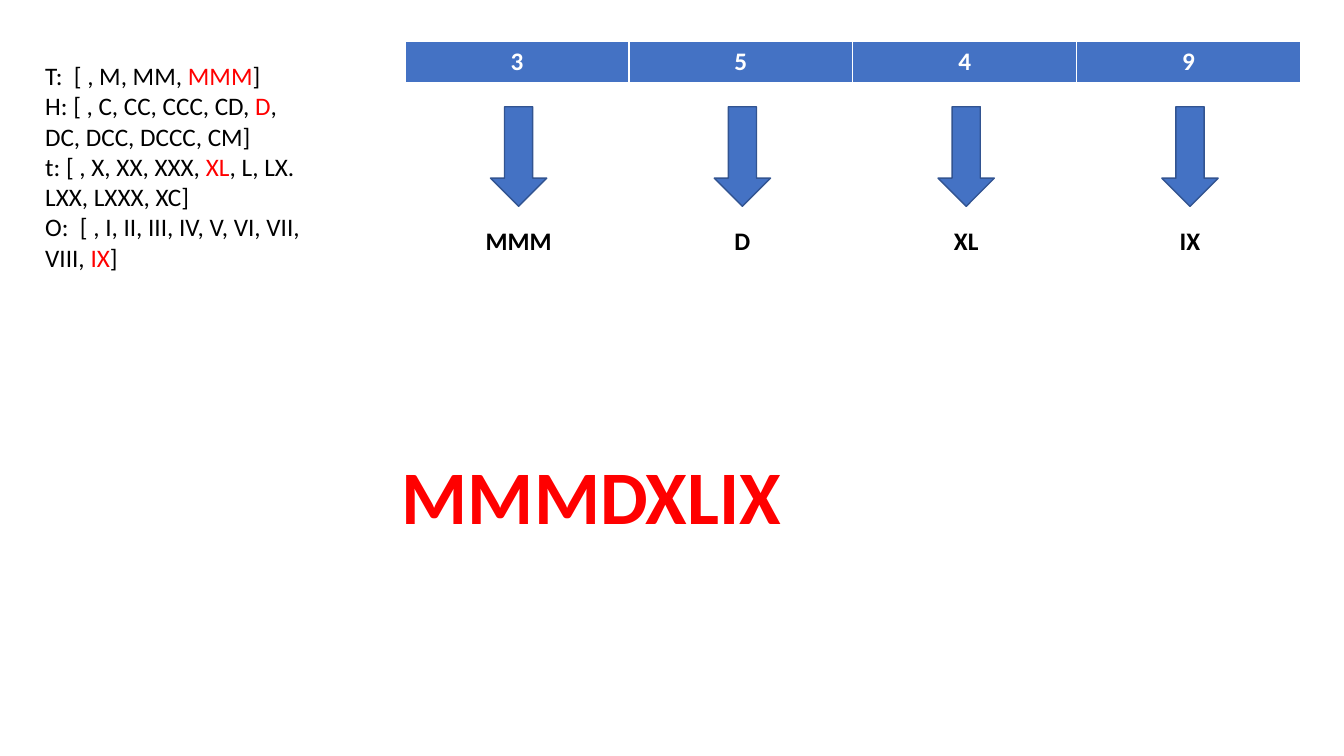
"""Build a slide that turns the digits of 3549 into the Roman numeral MMMDXLIX."""
from pptx import Presentation
from pptx.dml.color import RGBColor
from pptx.enum.shapes import MSO_SHAPE as Preset
from pptx.enum.text import PP_ALIGN as Align
from pptx.util import Cm, Pt

BLUE = RGBColor(0x44, 0x72, 0xC4)
DARK_BLUE = RGBColor(0x32, 0x54, 0x91)
RED = RGBColor(0xFF, 0, 0)
BLACK = RGBColor(0, 0, 0)
WHITE = RGBColor(0xFF, 0xFF, 0xFF)

DIGITS = [("3", "MMM"), ("5", "D"), ("4", "XL"), ("9", "IX")]
NUMERAL_LISTS = [
    ("T:  [ , M, MM, ", "MMM", "]"),
    ("H: [ , C, CC, CCC, CD, ", "D", ", DC, DCC, DCCC, CM]"),
    ("t: [ , X, XX, XXX, ", "XL", ", L, LX. LXX, LXXX, XC]"),
    ("O:  [ , I, II, III, IV, V, VI, VII, VIII, ", "IX", "]"),
]
RESULT = "".join(numeral for _, numeral in DIGITS)

TABLE_LEFT, TABLE_TOP, COLUMN, ROW = 10.21, 1.04, 5.64, 1.03
ARROW_TOP, ARROW_WIDTH, ARROW_HEIGHT = 2.69, 1.42, 2.51
LABEL_TOP, LABEL_WIDTH, LABEL_HEIGHT = 5.56, 5.51, 1.02


def add_span(para, text, color, size=18, bold=False):
    """Append formatted text to a paragraph."""
    span = para.add_run()
    span.text = text
    span.font.color.rgb = color
    for name, value in {"name": "Calibri", "size": Pt(size), "bold": bold}.items():
        setattr(span.font, name, value)


def add_box(page, left, top, width, height, lines, align=Align.LEFT, **style):
    """Add a wrapping text box whose lines are lists of (text, color) pairs."""
    box = page.shapes.add_textbox(Cm(left), Cm(top), Cm(width), Cm(height))
    frame = box.text_frame
    frame.word_wrap = True
    for index, line in enumerate(lines):
        para = frame.add_paragraph() if index else frame.paragraphs[0]
        para.alignment = align
        for text, color in line:
            add_span(para, text, color, **style)


def add_arrow(page, center):
    """Add a down arrow centred on a column."""
    arrow = page.shapes.add_shape(
        Preset.DOWN_ARROW, Cm(center - ARROW_WIDTH / 2), Cm(ARROW_TOP),
        Cm(ARROW_WIDTH), Cm(ARROW_HEIGHT))
    arrow.shadow.inherit = False
    arrow.fill.solid()
    arrow.fill.fore_color.rgb = BLUE
    arrow.line.color.rgb = DARK_BLUE
    arrow.line.width = Pt(1)


deck = Presentation()
deck.slide_width, deck.slide_height = Cm(33.87), Cm(19.05)
page = deck.slides.add_slide(deck.slide_layouts[6])

table = page.shapes.add_table(
    1, len(DIGITS), Cm(TABLE_LEFT), Cm(TABLE_TOP),
    Cm(COLUMN * len(DIGITS)), Cm(ROW)).table

for index, (digit, numeral) in enumerate(DIGITS):
    cell = table.cell(0, index)
    cell.fill.solid()
    cell.fill.fore_color.rgb = BLUE
    para = cell.text_frame.paragraphs[0]
    para.alignment = Align.CENTER
    add_span(para, digit, WHITE, bold=True)

    center = TABLE_LEFT + COLUMN * (index + 0.5) + 0.04
    add_arrow(page, center)
    add_box(page, center - LABEL_WIDTH / 2, LABEL_TOP, LABEL_WIDTH, LABEL_HEIGHT,
            [[(numeral, BLACK)]], Align.CENTER, bold=True)

add_box(page, 0.89, 1.4, 7.04, 5.64,
        [zip(parts, (BLACK, RED, BLACK)) for parts in NUMERAL_LISTS])
add_box(page, 4.9, 11.18, 20.02, 2.57, [[(RESULT, RED)]], Align.CENTER,
        size=54, bold=True)

deck.save("out.pptx")
